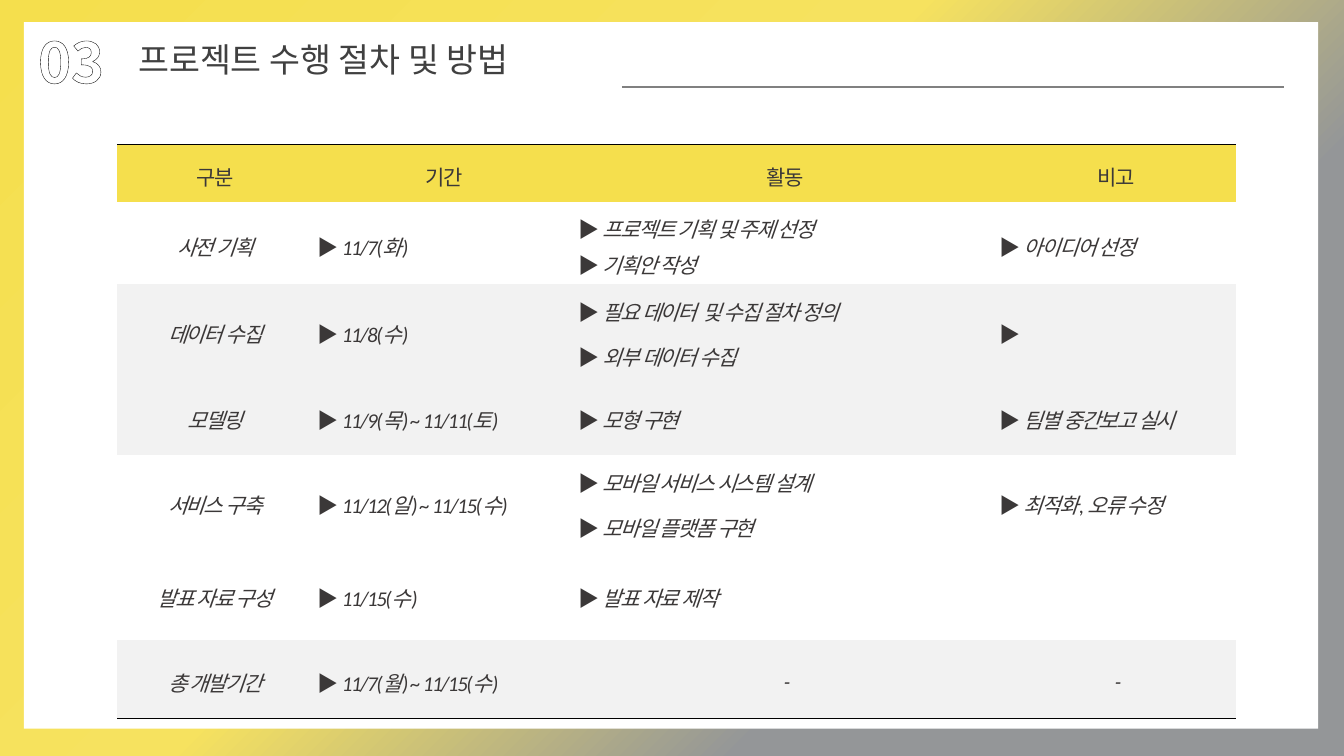
from dataclasses import dataclass
from typing import Any

import lxml.etree
import pptx
import pptx.dml.color
import pptx.enum.dml
import pptx.enum.shapes
import pptx.enum.text
import pptx.oxml
import pptx.oxml.ns
import pptx.util

Cm = pptx.util.Cm
Pt = pptx.util.Pt
qn = pptx.oxml.ns.qn
ALIGN = pptx.enum.text.PP_ALIGN
ANCHOR = pptx.enum.text.MSO_ANCHOR
NS = 'xmlns:a="http://schemas.openxmlformats.org/drawingml/2006/main"'
KOREAN = "Noto Sans CJK KR"
YELLOW, WHITE, PALE, INK, GREY = "F5DF4D", "FFFFFF", "F2F2F2", "3B3838", "939597"


@dataclass
class Cell:
    lines: tuple[str, ...] = ()
    font: str = "Calibri"
    arrow: bool = True
    centred: bool = False
    before: float = 6


@dataclass
class Row:
    height: float
    fill: str
    cells: tuple[Cell, ...]


def label(text: str) -> Cell:
    return Cell((text,), arrow=False, centred=True)


def items(*lines: str, font: str = "Calibri", before: float = 6) -> Cell:
    return Cell(lines, font, before=before)


DASH = label("-")
COLUMNS = (4.95, 6.58, 10.61, 6.07)
ROWS = (
    Row(1.46, YELLOW, tuple(Cell((t,), arrow=False, centred=True, before=0)
                            for t in ("구분", "기간", "활동", "비고"))),
    Row(2.06, WHITE, (label("사전 기획"), items("11/7(화)"),
                      items("프로젝트 기획 및 주제 선정", "기획안 작성", before=0),
                      items("아이디어 선정"))),
    Row(2.33, PALE, (label("데이터 수집"), items("11/8(수)"),
                     items("필요 데이터  및 수집 절차 정의", "외부 데이터 수집", font="Arial"),
                     items(""))),
    Row(1.98, PALE, (label("모델링"), items("11/9(목) ~ 11/11(토)"), items("모형 구현"),
                     items("팀별 중간보고 실시", font="Arial"))),
    Row(2.33, WHITE, (label("서비스 구축"), items("11/12(일) ~ 11/15(수)"),
                      items("모바일 서비스 시스템 설계", "모바일 플랫폼 구현", font="Arial"),
                      items("최적화, 오류 수정"))),
    Row(2.33, WHITE, (label("발표 자료 구성"), items("11/15(수)"),
                      items("발표 자료 제작", font="Arial"), Cell())),
    Row(1.98, PALE, (label("총 개발기간"), items("11/7(월) ~ 11/15(수)"), DASH, DASH)),
)


def rgb(value: str) -> pptx.dml.color.RGBColor:
    return pptx.dml.color.RGBColor.from_string(value)


def apply(obj: Any, **fmt: Any) -> None:
    for name, value in fmt.items():
        setattr(obj, name, value)


def line_xml(tag: str, color: str, width: float) -> Any:
    return pptx.oxml.parse_xml(
        f'<a:{tag} {NS} w="{Pt(width)}"><a:solidFill><a:srgbClr val="{color}"/>'
        f'</a:solidFill></a:{tag}>')


def add_run(p: Any, text: str, font: str, size: float, color: str,
            bold: bool = False, italic: bool = False) -> Any:
    r = p.add_run()
    r.text = text
    apply(r.font, name=font, size=Pt(size), bold=bold, italic=italic)
    r.font.color.rgb = rgb(color)
    rpr = r.font._element
    lxml.etree.SubElement(rpr, qn("a:ea")).set("typeface", KOREAN)
    return rpr


def fill_background(slide: Any) -> None:
    fill = slide.background.fill
    fill.gradient()
    fill.gradient_angle = 315
    stops = fill._fill._gradFill.find(qn("a:gsLst"))
    for stop in list(stops):
        stops.remove(stop)
    for pos, color in ((0, YELLOW), (44, "F6E25F"), (71, "949698"), (100, GREY)):
        stop = lxml.etree.SubElement(stops, qn("a:gs"), pos=str(pos * 1000))
        lxml.etree.SubElement(stop, qn("a:srgbClr"), val=color)


def fill_cell(cell: Any, content: Cell, fill: str, header: bool) -> None:
    cell.fill.solid()
    cell.fill.fore_color.rgb = rgb(fill)
    cell.vertical_anchor = ANCHOR.MIDDLE
    if content.arrow or content is DASH:
        apply(cell, margin_left=Cm(0.1), margin_right=0, margin_top=0, margin_bottom=0)
    tf = cell.text_frame
    for i, text in enumerate(content.lines):
        p = tf.add_paragraph() if i else tf.paragraphs[0]
        apply(p, alignment=ALIGN.CENTER if content.centred else ALIGN.LEFT,
              line_spacing=1.2, space_before=Pt(content.before))
        if content.arrow:
            rpr = add_run(p, "▶ " if text else "▶", KOREAN, 15, INK, bold=True)
            rpr.set("spc", "-100")
            rpr.insert(0, line_xml("ln", GREY, 1))
        if text:
            rpr = add_run(p, text, content.font, 15, INK, italic=not header)
            rpr.set("spc", "-100")


def add_schedule(slide: Any) -> None:
    frame = slide.shapes.add_table(len(ROWS), len(COLUMNS), Cm(2.95), Cm(3.64),
                                   Cm(sum(COLUMNS)), Cm(sum(r.height for r in ROWS)))
    table = frame.table
    apply(table, first_row=False, horz_banding=False)
    style = table._tbl.tblPr.find(qn("a:tableStyleId"))
    style.text = "{2D5ABB26-0587-4C30-8999-92F81FD0307C}"
    for column, width in zip(table.columns, COLUMNS):
        column.width = Cm(width)
    edges = {0: "lnT", len(ROWS) - 1: "lnB"}
    for i, row in enumerate(ROWS):
        table.rows[i].height = Cm(row.height)
        for cell, content in zip(table.rows[i].cells, row.cells):
            fill_cell(cell, content, row.fill, header=i == 0)
            if i in edges:
                cell._tc.get_or_add_tcPr().insert(0, line_xml(edges[i], "000000", 0.75))


def add_heading(slide: Any) -> None:
    sp = slide.shapes.add_textbox(Cm(0.71), Cm(0.56), Cm(3.23), Cm(1.93))
    sp.text_frame.word_wrap = True
    rpr = add_run(sp.text_frame.paragraphs[0], "03", KOREAN, 40, WHITE, bold=True)
    fill = slide.shapes[-1].text_frame.paragraphs[0].runs[0].font.fill
    fill.patterned()
    fill.pattern = pptx.enum.dml.MSO_PATTERN.DARK_UPWARD_DIAGONAL
    fill.fore_color.rgb = rgb(INK)
    fill.back_color.rgb = rgb(WHITE)
    rpr.insert(0, line_xml("ln", "000000", 1.25))

    title = slide.shapes.title
    apply(title, left=Cm(3.23), top=Cm(0.86), width=Cm(10.97), height=Cm(1.24))
    tf = title.text_frame
    apply(tf, word_wrap=False, vertical_anchor=ANCHOR.TOP,
          auto_size=pptx.enum.text.MSO_AUTO_SIZE.SHAPE_TO_FIT_TEXT)
    p = tf.paragraphs[0]
    p.alignment = ALIGN.LEFT
    add_run(p, "프로젝트 수행 절차 및 방법", KOREAN, 24, "404040")
    sp._element.addnext(title._element)

    rule = slide.shapes.add_connector(pptx.enum.shapes.MSO_CONNECTOR.STRAIGHT,
                                      Cm(15.67), Cm(2.19), Cm(32.36), Cm(2.19))
    rule.line.color.rgb = rgb("808080")
    rule.line.width = Pt(1)
    lxml.etree.SubElement(rule._element.spPr, qn("a:effectLst"))


def main() -> None:
    prs = pptx.Presentation()
    apply(prs, slide_width=Cm(33.87), slide_height=Cm(19.05))
    slide = prs.slides.add_slide(prs.slide_layouts[5])
    fill_background(slide)
    sheet = slide.shapes.add_shape(pptx.enum.shapes.MSO_SHAPE.RECTANGLE,
                                   Cm(0.6), Cm(0.56), Cm(32.62), Cm(17.8))
    sheet.shadow.inherit = False
    sheet.fill.solid()
    sheet.fill.fore_color.rgb = rgb(WHITE)
    sheet.line.fill.background()
    add_schedule(slide)
    add_heading(slide)
    prs.save("out.pptx")


if __name__ == "__main__":
    main()
